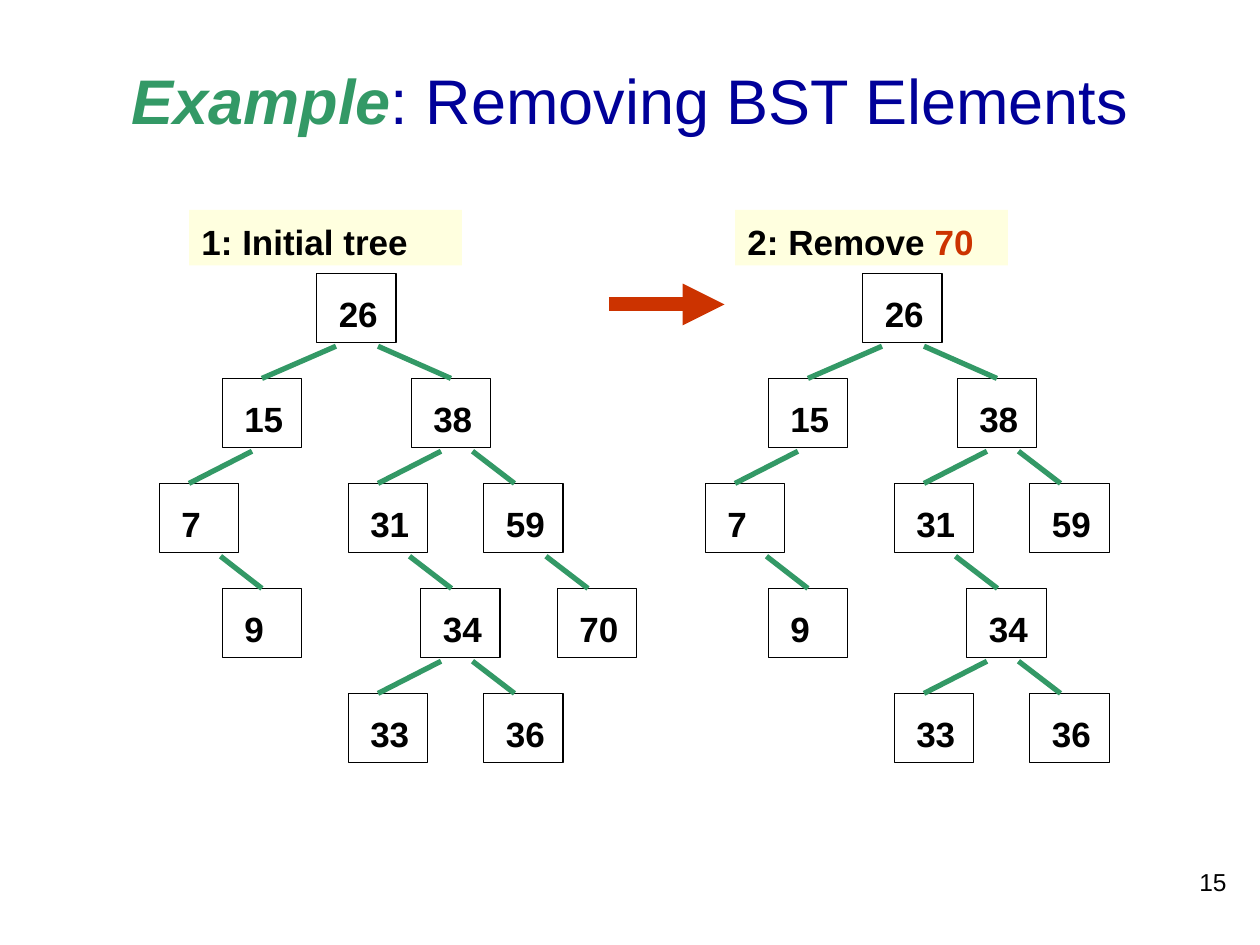
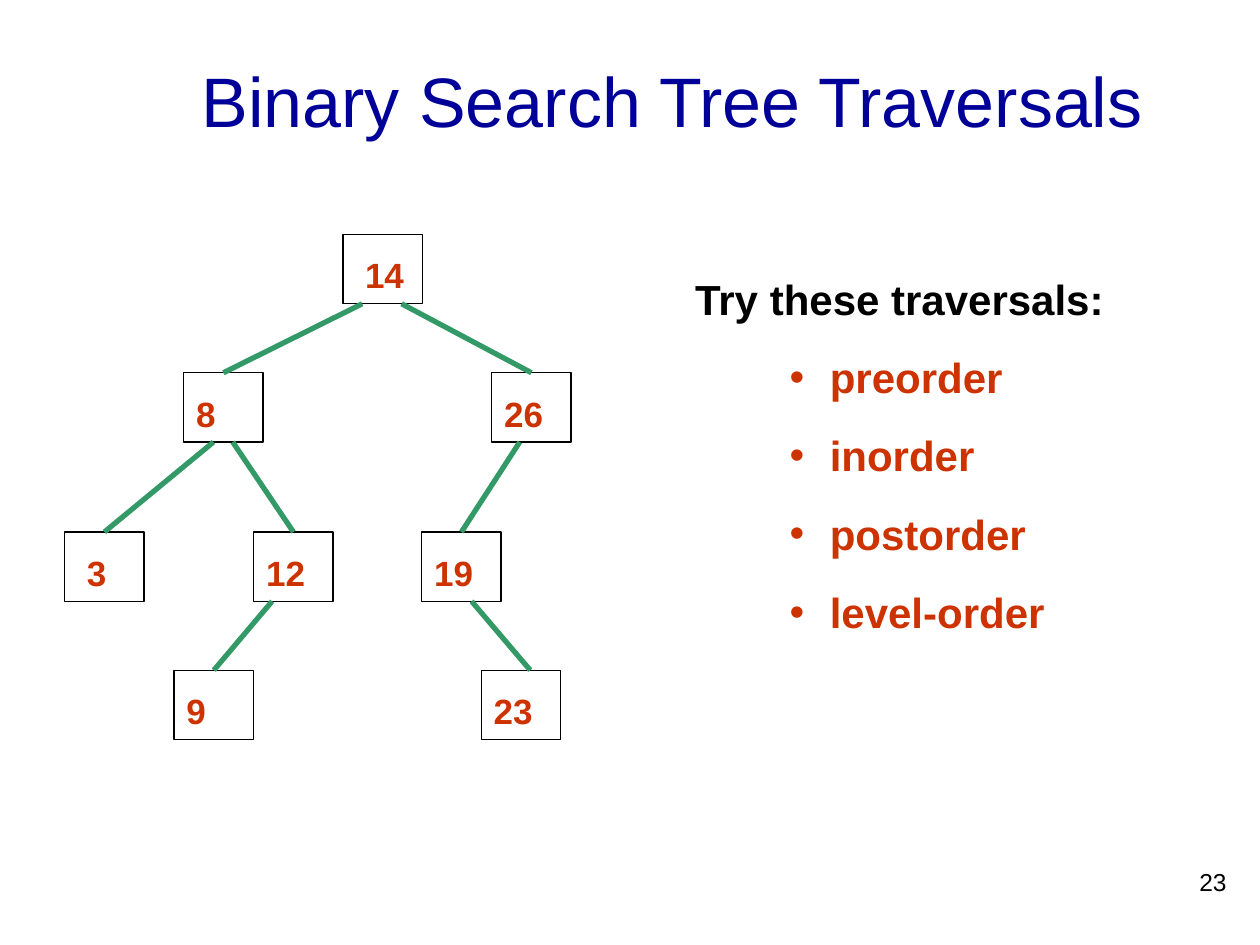
import lxml.etree
import pptx
import pptx.dml.color
import pptx.enum.shapes
import pptx.enum.text
import pptx.oxml.ns
import pptx.util

Pt = pptx.util.Pt
qn = pptx.oxml.ns.qn
rgb = pptx.dml.color.RGBColor.from_string
RECTANGLE = pptx.enum.shapes.MSO_SHAPE.RECTANGLE
STRAIGHT = pptx.enum.shapes.MSO_CONNECTOR.STRAIGHT
ALIGN = pptx.enum.text.PP_ALIGN
ANCHOR = pptx.enum.text.MSO_ANCHOR

BLACK, NAVY, GREEN, RED, CREAM = "000000", "000099", "339966", "CC3300", "FFFFDF"
NODE_WIDTH, NODE_HEIGHT = 45.36, 39.6


def style(run, size, color, bold=False, italic=False):
    run.font.name = "Arial"
    run.font.size = Pt(size)
    run.font.color.rgb = rgb(color)
    run.font.bold = bold
    run.font.italic = italic


def draw_line(slide, start, end, color, width):
    line = slide.shapes.add_connector(STRAIGHT, *map(Pt, start + end))
    line.line.color.rgb = rgb(color)
    line.line.width = Pt(width)
    lxml.etree.SubElement(line._element.spPr, qn("a:effectLst"))
    return line


prs = pptx.Presentation()
prs.slide_width, prs.slide_height = Pt(720), Pt(540)
removal = prs.slides.add_slide(prs.slide_layouts[5])
traversal = prs.slides.add_slide(prs.slide_layouts[1])

# Titles and page numbers
headings = [
    (removal, (54, 12, 612, 90), 36,
     [("Example", GREEN, True), (": Removing BST Elements", NAVY, False)], "15"),
    (traversal, (78, 24, 612, 66), 40,
     [("Binary Search Tree Traversals", NAVY, False)], "23"),
]
for slide, area, size, pieces, number in headings:
    title = slide.shapes.title
    title.left, title.top, title.width, title.height = map(Pt, area)
    title.text_frame.vertical_anchor = ANCHOR.MIDDLE
    paragraph = title.text_frame.paragraphs[0]
    paragraph.alignment = ALIGN.CENTER
    for text, color, emphasis in pieces:
        run = paragraph.add_run()
        run.text = text
        style(run, size, color, emphasis, emphasis)

    page = slide.shapes.add_textbox(Pt(558), Pt(492), Pt(150), Pt(36)).text_frame
    page.word_wrap = True
    page.text = number
    page.paragraphs[0].alignment = ALIGN.RIGHT
    style(page.paragraphs[0].runs[0], 14, BLACK)

# Step labels
steps = [
    (108, [("1: Initial tree", BLACK)]),
    (420, [("2: Remove ", BLACK), ("70", RED)]),
]
for left, pieces in steps:
    label = removal.shapes.add_shape(RECTANGLE, Pt(left), Pt(120), Pt(156), Pt(31.7))
    label.shadow.inherit = False
    label.fill.solid()
    label.fill.fore_color.rgb = rgb(CREAM)
    label.line.fill.background()
    label.text_frame.margin_top = Pt(6)
    label.text_frame.vertical_anchor = ANCHOR.TOP
    paragraph = label.text_frame.paragraphs[0]
    paragraph.alignment = ALIGN.LEFT
    for text, color in pieces:
        run = paragraph.add_run()
        run.text = text
        style(run, 20, color, True)

step_arrow = draw_line(removal, (348, 174), (414, 174), RED, 8)
outline = step_arrow._element.spPr.find(qn("a:ln"))
lxml.etree.SubElement(outline, qn("a:tailEnd"), type="triangle")

# Nodes: value, left, level, then start and end x of the edge from the parent
initial_tree = [
    ("26", 181, 0, None, None),
    ("15", 127, 1, 192, 150), ("38", 235, 1, 216, 258),
    ("7", 91, 2, 144, 108), ("31", 199, 2, 252, 216), ("59", 276.5, 2, 270, 294),
    ("9", 127, 3, 126, 150), ("34", 240.5, 3, 234, 258), ("70", 318.5, 3, 312, 336),
    ("33", 199, 4, 252, 216), ("36", 276.5, 4, 270, 294),
]
reduced_tree = [node for node in initial_tree if node[0] != "70"]
traversal_tree = [
    ("14", 196, 0, None, None),
    ("8", 105, 1, 207, 127.5), ("26", 281, 1, 229.5, 303),
    ("3", 37, 2, 122, 60), ("12", 145, 2, 133, 167), ("19", 241, 2, 297, 263.5),
    ("9", 99.5, 3, 122 + 33.5, 122), ("23", 275, 3, 269.5, 303),
]
removal_tops = [156.25 + 60 * level for level in range(5)]
traversal_tops = [134, 213, 304, 383]
flush_values = {"8", "26", "12", "19", "9", "23"}

trees = [
    (removal, initial_tree, removal_tops, 0, 2, BLACK, set()),
    (removal, reduced_tree, removal_tops, 312, 2, BLACK, set()),
    (traversal, traversal_tree, traversal_tops, 0, 0, RED, flush_values),
]
for slide, nodes, tops, shift, gap, color, flush in trees:
    for value, left, level, start_x, end_x in nodes:
        node = slide.shapes.add_shape(RECTANGLE, Pt(left + shift), Pt(tops[level]),
                                      Pt(NODE_WIDTH), Pt(NODE_HEIGHT))
        node.shadow.inherit = False
        node.fill.background()
        node.line.color.rgb = rgb(BLACK)
        node.line.width = Pt(0.75)
        frame = node.text_frame
        frame.margin_left = Pt(7.2 if value in flush else 12.6)
        frame.margin_top = Pt(11)
        frame.margin_right = frame.margin_bottom = Pt(0)
        frame.vertical_anchor = ANCHOR.TOP
        frame.text = value
        frame.paragraphs[0].alignment = ALIGN.LEFT
        style(frame.paragraphs[0].runs[0], 20, color, True)

        if level > 0:
            parent_bottom = tops[level - 1] + NODE_HEIGHT
            edge = draw_line(slide, (start_x + shift, parent_bottom + gap),
                             (end_x + shift, tops[level]), GREEN, 3)
            if abs(left + NODE_WIDTH / 2 - end_x) < 1:
                edge.end_connect(node, 0)

# Traversal list
exercise = traversal.placeholders[1]
exercise.left, exercise.top, exercise.width, exercise.height = map(Pt, (390, 150, 275, 255))
frame = exercise.text_frame
frame.auto_size = pptx.enum.text.MSO_AUTO_SIZE.NONE
frame.margin_top = Pt(6)
lines = ["Try these traversals:", "preorder", "inorder", "postorder", "level-order"]
frame.text = "\n".join(lines)
for position, paragraph in enumerate(frame.paragraphs):
    properties = paragraph._p.get_or_add_pPr()
    if position == 0:
        properties.set("marL", "0")
        properties.set("indent", "0")
        lxml.etree.SubElement(properties, qn("a:buNone"))
    else:
        paragraph.level = 1
        properties.set("marL", str(Pt(77)))
        properties.set("indent", str(Pt(-23)))
        bullet_color = lxml.etree.SubElement(properties, qn("a:buClr"))
        lxml.etree.SubElement(bullet_color, qn("a:srgbClr"), val=RED)
        lxml.etree.SubElement(properties, qn("a:buFont"), typeface="Arial")
        lxml.etree.SubElement(properties, qn("a:buChar"), char="•")
    paragraph.space_before = Pt(16 if position else 0)
    style(paragraph.runs[0], 24, RED if position else BLACK, True)

prs.save("out.pptx")
